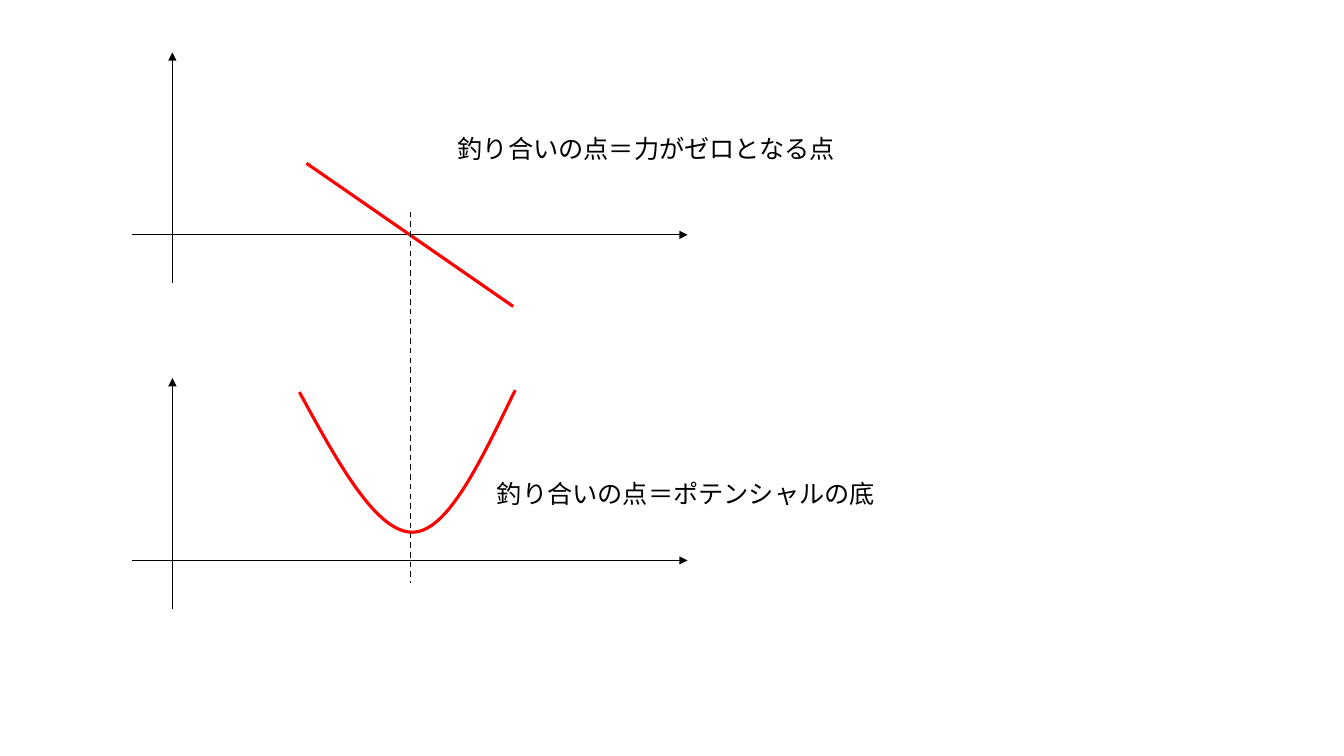
from dataclasses import dataclass
from lxml import etree
from pptx import Presentation
from pptx import util as u
from pptx.dml import color
from pptx.enum import dml, shapes, text
from pptx.oxml import ns


@dataclass(frozen=True)
class Theme:
    ink: color.RGBColor = color.RGBColor(0, 0, 0)
    red: color.RGBColor = color.RGBColor(255, 0, 0)
    font: str = "Calibri"
    size: float = 18
    thin: float = 0.5
    mid: float = 1
    bold: float = 2.25


THEME = Theme()


def add_line(slide, start, end, tint, width):
    ends = [u.Inches(v) for v in (*start, *end)]
    line = slide.shapes.add_connector(shapes.MSO_CONNECTOR.STRAIGHT, *ends)
    line.line.color.rgb = tint
    line.line.width = u.Pt(width)
    etree.SubElement(line._element.spPr, ns.qn("a:effectLst"))
    return line


def add_arrow(slide, start, end):
    line = add_line(slide, start, end, THEME.ink, THEME.thin)
    tail = etree.SubElement(line.line._get_or_add_ln(), ns.qn("a:tailEnd"))
    tail.set("type", "triangle")


def add_axes(slide, base):
    add_arrow(slide, (1.31, base), (6.82, base))
    add_arrow(slide, (1.71, base + 0.48), (1.71, base - 1.81))


def add_curve(slide, start, *points):
    spots = [(u.Inches(x), u.Inches(y)) for x, y in points]
    pen = slide.shapes.build_freeform(*[u.Inches(v) for v in start])
    pen.add_line_segments(spots, close=False)
    curve = pen.convert_to_shape()
    steps = list(curve._element.iter(ns.qn("a:lnTo")))
    for first in range(0, len(steps), 3):
        bend = etree.Element(ns.qn("a:cubicBezTo"))
        steps[first].addprevious(bend)
        for step in steps[first:first + 3]:
            bend.append(step[0])
            step.getparent().remove(step)
    curve.shadow.inherit = False
    curve.fill.background()
    curve.line.color.rgb = THEME.red
    curve.line.width = u.Pt(THEME.bold)


def add_label(slide, left, top, words):
    box = slide.shapes.add_textbox(*[u.Inches(v) for v in (left, top, 3.99, 0.4)])
    frame = box.text_frame
    frame.word_wrap = False
    frame.auto_size = text.MSO_AUTO_SIZE.SHAPE_TO_FIT_TEXT
    run = frame.paragraphs[0].add_run()
    run.text = words
    run.font.name = THEME.font
    run.font.size = u.Pt(THEME.size)
    run.font.color.rgb = THEME.ink


def main():
    deck = Presentation()
    deck.slide_width, deck.slide_height = u.Inches(13.33), u.Inches(7.5)
    slide = deck.slides.add_slide(deck.slide_layouts[6])
    for base in (2.33, 5.56):
        add_axes(slide, base)
    add_line(slide, (3.04, 1.62), (5.09, 3.04), THEME.red, THEME.bold)
    add_curve(slide, (2.97, 3.89),
              (3.35, 4.59), (3.73, 5.28), (4.09, 5.28),
              (4.44, 5.28), (4.77, 4.57), (5.11, 3.87))
    guide = add_line(slide, (4.07, 2.1), (4.07, 5.78), THEME.ink, THEME.mid)
    guide.line.dash_style = dml.MSO_LINE.DASH
    add_label(slide, 4.44, 1.27, "釣り合いの点＝力がゼロとなる点")
    add_label(slide, 4.83, 4.7, "釣り合いの点＝ポテンシャルの底")
    deck.save("out.pptx")


if __name__ == "__main__":
    main()
